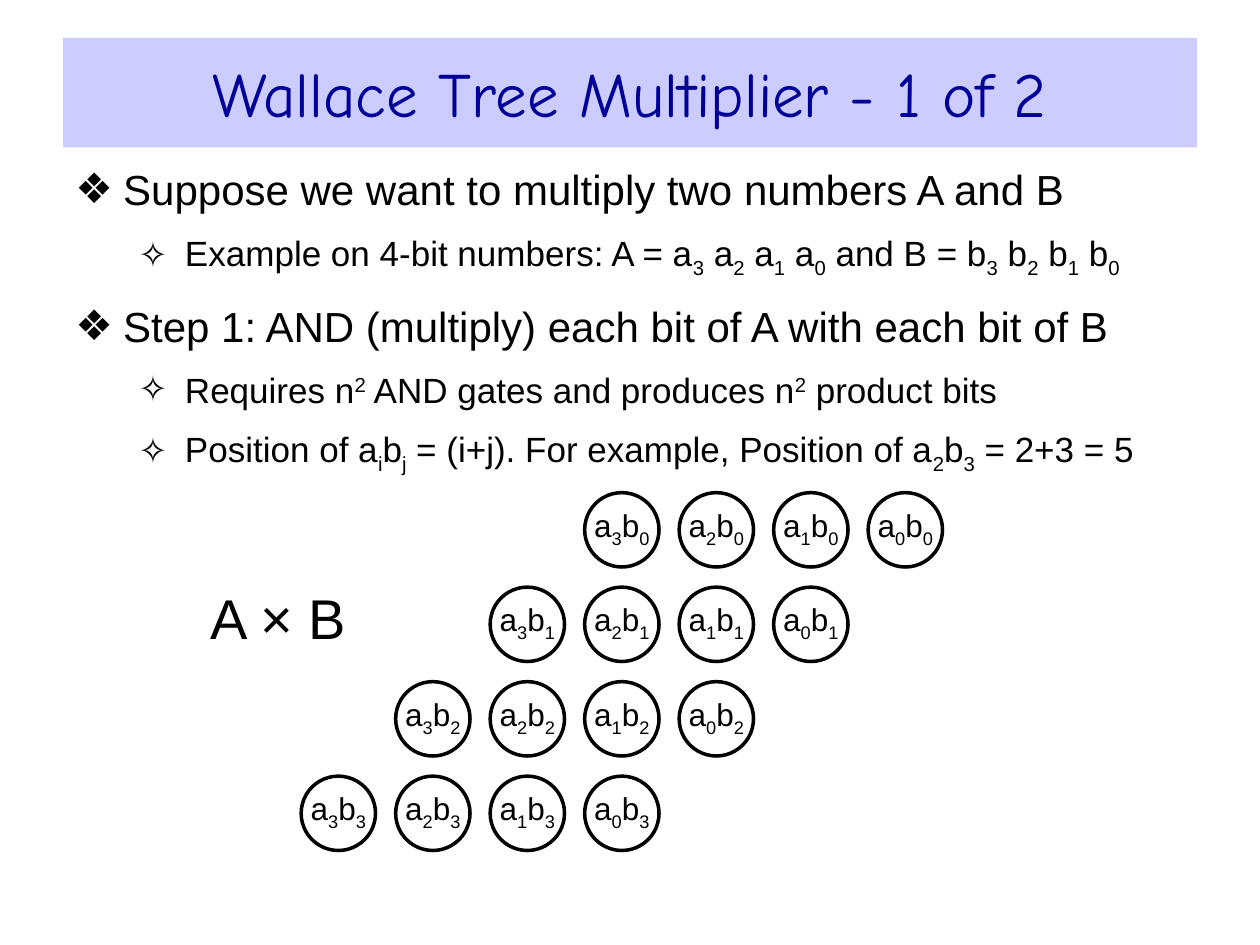
from lxml.etree import SubElement
from pptx import Presentation
from pptx.dml.color import RGBColor
from pptx.enum.shapes import MSO_SHAPE
from pptx.enum.text import MSO_ANCHOR, PP_ALIGN
from pptx.oxml.ns import qn
from pptx.util import Inches, Pt

BLACK = RGBColor(0, 0, 0)
NAVY = RGBColor(0x00, 0x00, 0x99)
LILAC = RGBColor(0xCC, 0xCC, 0xFF)

# "_" lowers the next character, "^" raises it
SHIFT = {"_": "-25000", "^": "30000"}
TITLE = "Wallace Tree Multiplier - 1 of 2"
POINTS = [
    (0, "Suppose we want to multiply two numbers A and B"),
    (1, "Example on 4-bit numbers: A = a_3 a_2 a_1 a_0 and B = b_3 b_2 b_1 b_0"),
    (0, "Step 1: AND (multiply) each bit of A with each bit of B"),
    (1, "Requires n^2 AND gates and produces n^2 product bits"),
    (1, "Position of a_ib_j = (i+j). For example, Position of a_2b_3 = 2+3 = 5"),
]
# per level: size, space before, left margin, hanging indent, bullet
LEVELS = [(24, 12, 0.38, 0.38, "❖"), (20, 10, 0.87, 0.37, "✧")]

BITS = 4
PITCH = 0.75              # step between circles, both ways
DISC = 0.59
RIGHT, TOP = 6.89, 3.91   # corner of the circle for a0b0
TAG_W, TAG_H = 0.67, 0.39


def pieces(text):
    """Split marked text into (text, mark) parts."""
    part, chars = "", iter(text)
    for char in chars:
        if char in SHIFT:
            if part:
                yield part, None
            yield next(chars), char
            part = ""
        else:
            part += char
    if part:
        yield part, None


def write(para, text, size, font="Arial", color=BLACK):
    """Fill a paragraph with formatted runs."""
    for part, mark in pieces(text):
        run = para.add_run()
        run.text = part
        run.font.size, run.font.name = Pt(size), font
        run.font.color.rgb = color
        if mark:
            run._r.get_or_add_rPr().set("baseline", SHIFT[mark])


def add_text(shapes, x, y, w, h, pad=None):
    """Add a wrapping text box and return its frame."""
    frame = shapes.add_textbox(*map(Inches, (x, y, w, h))).text_frame
    frame.word_wrap = True
    if pad is not None:
        frame.margin_left = frame.margin_right = Inches(pad)
        frame.margin_top = frame.margin_bottom = Inches(pad)
    return frame


def add_bullet(para, left, hang, char):
    """Give a paragraph a hanging bullet."""
    props = para._p.get_or_add_pPr()
    props.set("marL", str(Inches(left)))
    props.set("indent", str(-Inches(hang)))
    color = SubElement(props, qn("a:buClr"))
    SubElement(color, qn("a:srgbClr")).set("val", str(BLACK))
    SubElement(props, qn("a:buFont")).set("typeface", "Arial")
    SubElement(props, qn("a:buChar")).set("char", char)


def add_bit(shapes, i, j):
    """Draw product bit a_i b_j in the column of weight i + j."""
    x, y = RIGHT - (i + j) * PITCH, TOP + j * PITCH
    tag = add_text(shapes, x + (DISC - TAG_W) / 2, y + 0.08, TAG_W, TAG_H, 0)
    tag.vertical_anchor = MSO_ANCHOR.MIDDLE
    tag.paragraphs[0].alignment = PP_ALIGN.CENTER
    write(tag.paragraphs[0], f"a_{i}b_{j}", 18)
    disc = shapes.add_shape(MSO_SHAPE.OVAL, *map(Inches, (x, y, DISC, DISC)))
    disc.shadow.inherit = False
    disc.fill.background()
    disc.line.color.rgb, disc.line.width = BLACK, Pt(2)


deck = Presentation()
deck.slide_width, deck.slide_height = Inches(10), Inches(7.5)
slide = deck.slides.add_slide(deck.slide_layouts[5])

title = slide.shapes.title
title.left, title.top = Inches(0.5), Inches(0.3)
title.width, title.height = Inches(9), Inches(0.87)
title.fill.solid()
title.fill.fore_color.rgb = LILAC
title.text_frame.vertical_anchor = MSO_ANCHOR.MIDDLE
head = title.text_frame.paragraphs[0]
head.alignment = PP_ALIGN.CENTER
write(head, TITLE, 36, "Comic Neue", NAVY)

body = add_text(slide.shapes, 0.5, 1.25, 9, 2.7)
for n, (level, text) in enumerate(POINTS):
    para = body.add_paragraph() if n else body.paragraphs[0]
    size, gap, left, hang, char = LEVELS[level]
    para.level, para.space_before = level, Pt(gap)
    add_bullet(para, left, hang, char)
    write(para, text, size)

grid = slide.shapes.add_group_shape()
for j in range(BITS):
    for i in range(BITS):
        add_bit(grid.shapes, i, j)

label = add_text(slide.shapes, 1.46, 4.58, 1.5, 0.64).paragraphs[0]
label.alignment = PP_ALIGN.CENTER
write(label, "A × B", 32)

deck.save("out.pptx")
